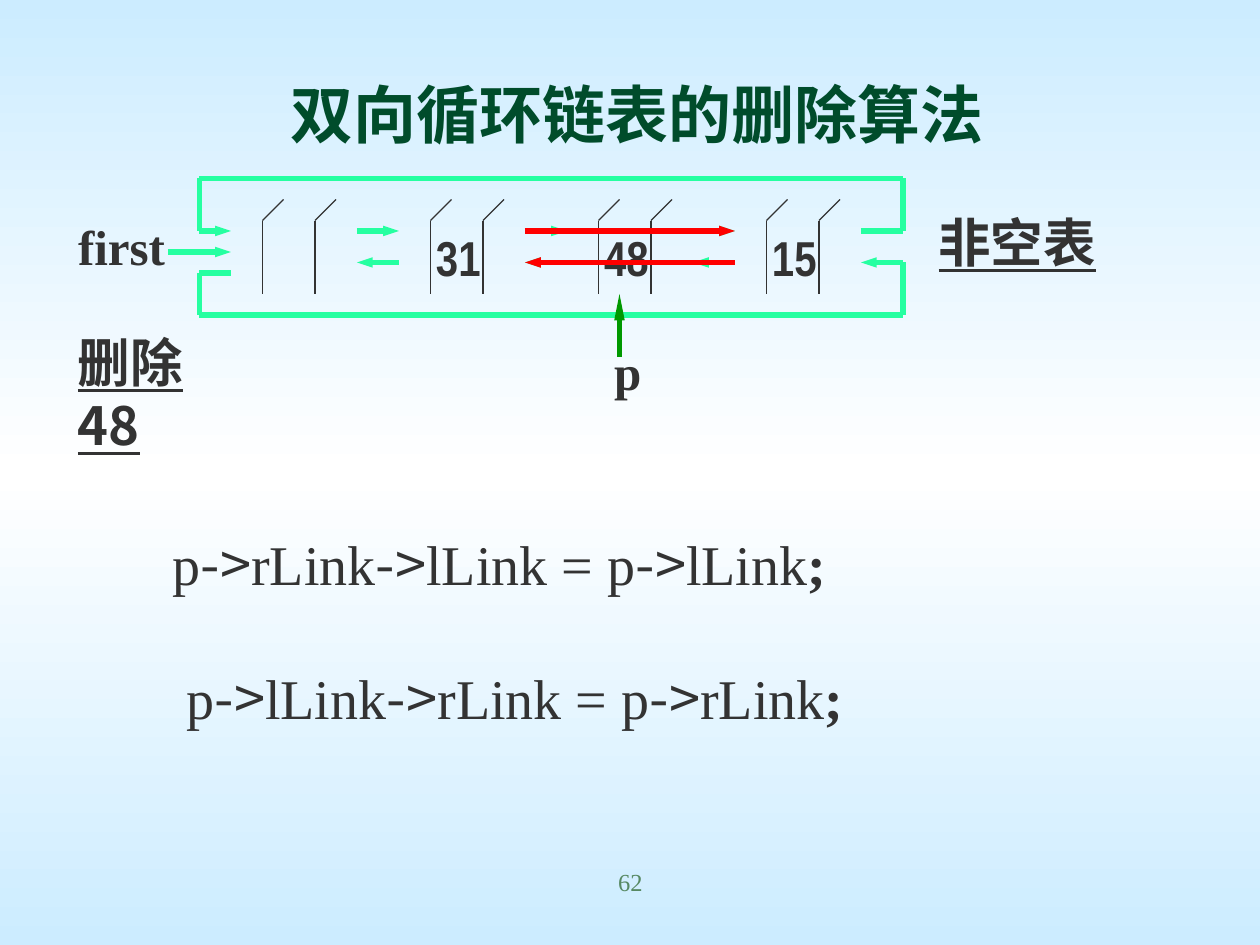
from copy import deepcopy
from dataclasses import dataclass

from lxml.etree import SubElement
from pptx import Presentation
from pptx.dml.color import RGBColor
from pptx.enum.shapes import MSO_CONNECTOR as Connector
from pptx.enum.text import MSO_ANCHOR as Anchor, PP_ALIGN as Align
from pptx.oxml.ns import qn
from pptx.util import Cm, Pt


@dataclass(frozen=True)
class Theme:
    sky: str = "CCECFF"
    white: str = "FFFFFF"
    ink: str = "333333"
    title: str = "004C2B"
    number: str = "578963"
    link: str = "26FFA1"
    new_link: str = "FF0000"
    pointer: str = "009900"
    serif: str = "Times New Roman"
    narrow: str = "Arial Narrow"
    chinese: str = "Noto Sans CJK SC"
    title_size: int = 36
    code_size: int = 32
    caption_size: int = 30
    label_size: int = 28
    number_size: int = 14
    thin: float = 0.75
    thick: float = 3


THEME = Theme()
GRID = 2.54 / 12
NODE_STEP = 16
FIRST_NODE = 25
FIELD_WIDTH = 5


def grid(steps):
    return Cm(steps * GRID)


def set_background(slide):
    fill = slide.background.fill
    fill.gradient()
    fill.gradient_angle = 90
    stops = slide.element.find(".//" + qn("a:gsLst"))
    stops.insert(1, deepcopy(stops[0]))
    colors = (THEME.sky, THEME.white, THEME.sky)
    for stop, color, position in zip(fill.gradient_stops, colors, (0, 0.5, 1)):
        stop.color.rgb = RGBColor.from_string(color)
        stop.position = position


def add_line(slide, start, end, color=THEME.link, width=THEME.thick, arrow=None):
    line = slide.shapes.add_connector(
        Connector.STRAIGHT, *map(grid, start), *map(grid, end))
    line.line.color.rgb = RGBColor.from_string(color)
    line.line.width = Pt(width)
    if arrow:
        SubElement(line.line._get_or_add_ln(), qn("a:tailEnd"),
                   type="triangle", w="sm", len=arrow)
    SubElement(line._element.spPr, qn("a:effectLst"))


def add_run(paragraph, text, size, font=THEME.serif, color=THEME.ink,
            bold=False, underline=False):
    run = paragraph.add_run()
    run.text = text
    run.font.size = Pt(size)
    run.font.name = font
    run.font.bold = bold
    run.font.underline = underline
    run.font.color.rgb = RGBColor.from_string(color)
    SubElement(run.font._element, qn("a:ea"), typeface=THEME.chinese)


def place(shape, box, inset=(0.3, 0.15), wrap=True, anchor=Anchor.TOP):
    shape.left, shape.top, shape.width, shape.height = map(Cm, box)
    frame = shape.text_frame
    frame.margin_left = frame.margin_right = Cm(inset[0])
    frame.margin_top = frame.margin_bottom = Cm(inset[1])
    frame.word_wrap = wrap
    frame.vertical_anchor = anchor
    return frame.paragraphs[0]


def add_caption(slide, text, box, wrap):
    paragraph = place(slide.shapes.add_textbox(0, 0, 0, 0), box, wrap=wrap)
    add_run(paragraph, text, THEME.caption_size, THEME.chinese,
            bold=True, underline=True)


def add_label(slide, text, box, font=THEME.serif):
    paragraph = place(slide.shapes.add_textbox(0, 0, 0, 0), box,
                      inset=(0.25, 0.13), wrap=False, anchor=Anchor.MIDDLE)
    paragraph.alignment = Align.CENTER
    add_run(paragraph, text, THEME.label_size, font, bold=True)


def add_title(slide, text):
    paragraph = place(slide.shapes.title, (4.57, 1.37, 16.56, 1.85))
    paragraph.alignment = Align.CENTER
    add_run(paragraph, text, THEME.title_size, color=THEME.title, bold=True)


def add_node(slide, index):
    for field in range(2):
        x = FIRST_NODE + index * NODE_STEP + field * FIELD_WIDTH
        add_line(slide, (x, 21), (x, 28), THEME.ink, THEME.thin)
        add_line(slide, (x, 21), (x + 2, 19), THEME.ink, THEME.thin)


def add_links(slide):
    for x in range(34, 67, NODE_STEP):
        add_line(slide, (x, 22), (x + 4, 22), arrow="med")
        add_line(slide, (x + 4, 25), (x, 25), arrow="med")
    add_line(slide, (16, 24), (22, 24), arrow="med")


def add_loop(slide, points, arrow_at):
    for index, (start, end) in enumerate(zip(points, points[1:])):
        add_line(slide, start, end, arrow="med" if index == arrow_at else None)


def add_code(slide, lines):
    body = slide.placeholders[1]
    paragraph = place(body, (3.18, 10.52, 19.81, 4.42))
    for index, pieces in enumerate(lines):
        if index:
            paragraph = body.text_frame.add_paragraph()
        properties = paragraph._element.get_or_add_pPr()
        properties.set("marL", "0")
        properties.set("indent", "0")
        paragraph.space_before = Pt(38 * index)
        SubElement(properties, qn("a:buNone"))
        for position, piece in enumerate(pieces):
            if position:
                add_run(paragraph, "->", THEME.code_size, THEME.chinese)
            add_run(paragraph, piece, THEME.code_size)
        add_run(paragraph, ";", THEME.code_size, bold=True)


def add_number(slide, text):
    paragraph = place(slide.shapes.add_textbox(0, 0, 0, 0),
                      (8.69, 17.35, 8.04, 1.27), inset=(0.25, 0.13))
    paragraph.alignment = Align.CENTER
    add_run(paragraph, text, THEME.number_size, color=THEME.number)


def main():
    presentation = Presentation()
    presentation.slide_width, presentation.slide_height = Cm(25.4), Cm(19.05)
    slide = presentation.slides.add_slide(presentation.slide_layouts[1])
    set_background(slide)
    add_number(slide, "62")
    add_caption(slide, "删除48", (1.27, 6.5, 3.73, 1.6), wrap=True)
    add_title(slide, "双向循环链表的删除算法")
    for index in range(4):
        add_node(slide, index)
    add_links(slide)
    add_loop(slide, [(82, 22), (86, 22), (86, 17), (19, 17), (19, 22), (22, 22)], 4)
    add_loop(slide, [(22, 26), (19, 26), (19, 30), (86, 30), (86, 25), (82, 25)], 4)
    add_label(slide, "first", (1.32, 4.24, 2.26, 1.45))
    add_caption(slide, "非空表", (18.62, 4.09, 3.86, 1.6), wrap=False)
    add_line(slide, (59, 34), (59, 28), THEME.pointer, arrow="lg")
    for index, value in enumerate(("31", "48", "15")):
        left = 8.53 + index * NODE_STEP * GRID
        add_label(slide, value, (left, 4.45, 1.42, 1.45), THEME.narrow)
    add_label(slide, "p", (12.12, 6.76, 1.07, 1.45))
    add_code(slide, [("p", "rLink", "lLink = p", "lLink"),
                     (" p", "lLink", "rLink = p", "rLink")])
    add_line(slide, (70, 25), (50, 25), THEME.new_link, arrow="med")
    add_line(slide, (50, 22), (70, 22), THEME.new_link, arrow="med")
    presentation.save("out.pptx")


if __name__ == "__main__":
    main()
